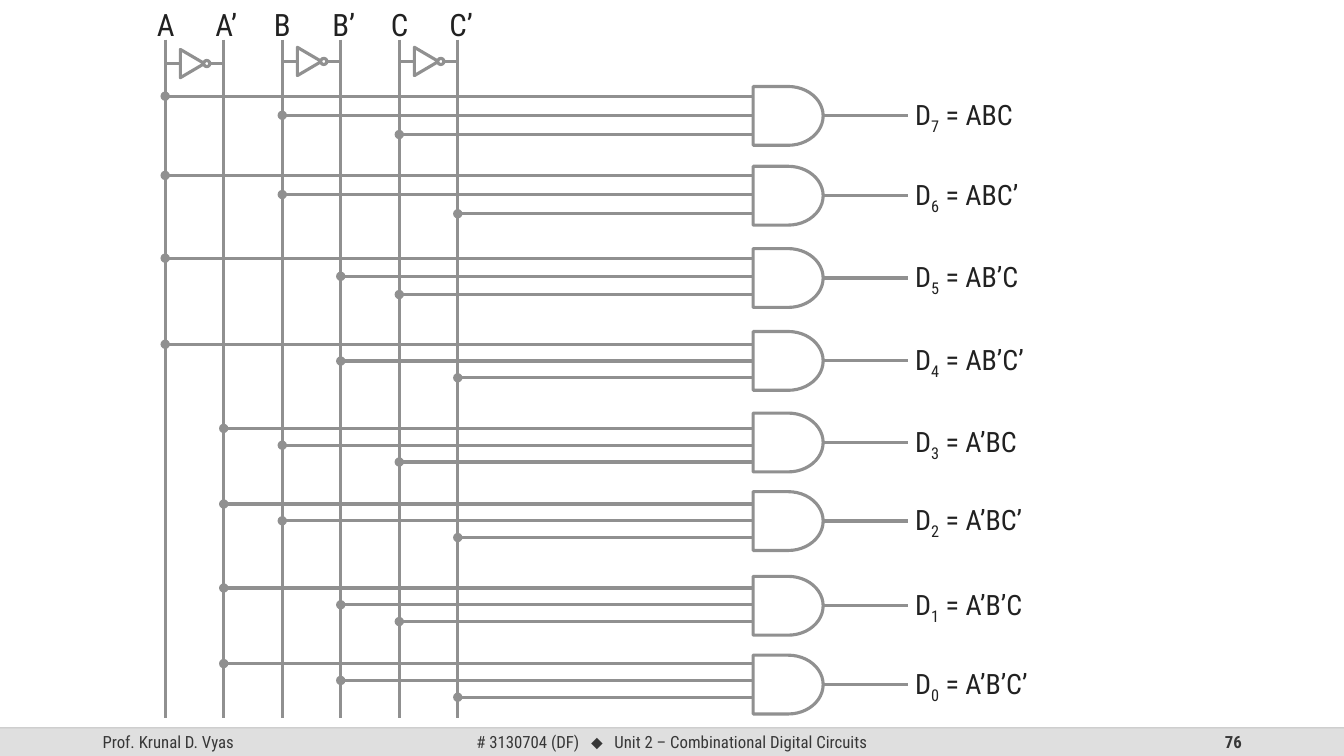
import itertools

import pptx
import pptx.dml.color
import pptx.enum.dml
import pptx.enum.shapes
import pptx.enum.text
import pptx.oxml
import pptx.oxml.ns
import pptx.util

Pt = pptx.util.Pt
RGBColor = pptx.dml.color.RGBColor
MSO_SHAPE = pptx.enum.shapes.MSO_SHAPE
PP_ALIGN = pptx.enum.text.PP_ALIGN

WIRE = RGBColor(0x90, 0x90, 0x90)
INK = RGBColor(0x21, 0x21, 0x21)
FOOTER_INK = RGBColor(0x37, 0x37, 0x37)
FOOTER_FILL = RGBColor(0xDF, 0xDF, 0xDF)
FOOTER_EDGE = RGBColor(0xBF, 0xBF, 0xBF)
WHITE = RGBColor(0xFF, 0xFF, 0xFF)

FONT = "Roboto Condensed"
SLIDE_WIDTH, SLIDE_HEIGHT = 960, 540
RAIL_LEFT, RAIL_GAP = 118, 41.8
RAIL_TOP, RAIL_BOTTOM = 28.4, 513
GATE_LEFT, GATE_WIDTH, GATE_HEIGHT = 538, 50, 42
OUTPUT_RIGHT = 648.7
LABEL_LEFT = 646.6
FOOTER_TOP, FOOTER_HEIGHT = 519.8, 20.2

GATE_ROWS = [
    (61.8, 82.4, 13.7),
    (118.8, 139, 13.7),
    (177.6, 197.4, 13),
    (236.8, 257.9, 12),
    (295.1, 318, 12),
    (351.2, 372, 12),
    (411.7, 432, 12),
    (468, 486, 12),
]


def add_namespaced(parent, tag, **attributes):
    child = pptx.oxml.parse_xml(f"<a:{tag} {pptx.oxml.ns.nsdecls('a')}/>")
    for name, value in attributes.items():
        child.set(name, value)
    parent.append(child)


def add_wire(page, x1, y1, x2, y2, dot=False, color=WIRE, width=2.25, opacity=None):
    wire = page.shapes.add_connector(
        pptx.enum.shapes.MSO_CONNECTOR.STRAIGHT, Pt(x1), Pt(y1), Pt(x2), Pt(y2))
    wire.line.width = Pt(width)
    wire.line.color.rgb = color
    properties = wire.element.spPr
    outline = properties.find(pptx.oxml.ns.qn("a:ln"))
    if opacity:
        add_namespaced(outline.find(".//" + pptx.oxml.ns.qn("a:srgbClr")),
                       "alpha", val=str(opacity * 1000))
    if dot:
        add_namespaced(outline, "headEnd", type="oval")
    add_namespaced(properties, "effectLst")
    return wire


def add_outline(page, kind, left, top, width, height, fill=None, line=WIRE):
    shape = page.shapes.add_shape(kind, Pt(left), Pt(top), Pt(width), Pt(height))
    shape.shadow.inherit = False
    if fill is None:
        shape.fill.background()
    else:
        shape.fill.solid()
        shape.fill.fore_color.rgb = fill
    if line is None:
        shape.line.fill.background()
    else:
        shape.line.color.rgb = line
        shape.line.width = Pt(2.25)
    return shape


def add_text_box(page, left, top, width, height, align=PP_ALIGN.LEFT, grow=True):
    box = page.shapes.add_textbox(Pt(left), Pt(top), Pt(width), Pt(height))
    frame = box.text_frame
    frame.word_wrap = True
    if grow:
        frame.auto_size = pptx.enum.text.MSO_AUTO_SIZE.SHAPE_TO_FIT_TEXT
    else:
        frame.vertical_anchor = pptx.enum.text.MSO_ANCHOR.MIDDLE
    para = frame.paragraphs[0]
    para.alignment = align
    return para


def add_span(para, text, size, color=INK, font=FONT, bold=False, baseline=None):
    span = para.add_run()
    span.text = text
    span.font.size = Pt(size)
    span.font.name = font
    span.font.color.rgb = color
    span.font.bold = bold
    if baseline is not None:
        span._r.get_or_add_rPr().set("baseline", str(baseline * 1000))


def rail_x(index):
    return RAIL_LEFT + index * RAIL_GAP


def add_rail(page, index, name):
    x = rail_x(index)
    add_wire(page, x, RAIL_TOP, x, RAIL_BOTTOM)
    para = add_text_box(page, x - 13.1, 0.5, 22.3 if len(name) == 1 else 32.4, 33.8)
    add_span(para, name, 22)


def add_inverter(page, x, y):
    triangle = add_outline(page, MSO_SHAPE.ISOSCELES_TRIANGLE,
                           x + 9.3, y - 8.6, 20.2, 17.2, WHITE)
    triangle.rotation = 90
    add_outline(page, MSO_SHAPE.OVAL, x + 27.5, y - 2.2, 4.4, 4.4, WHITE)
    add_wire(page, x, y, x + 11.5, y)
    add_wire(page, x + 31, y, x + RAIL_GAP, y)


def add_gate(page, digit, primes, top, wire_middle, wire_gap):
    gate = add_outline(page, MSO_SHAPE.FLOWCHART_DELAY,
                       GATE_LEFT, top, GATE_WIDTH, GATE_HEIGHT)
    middle = top + GATE_HEIGHT / 2
    output = add_wire(page, GATE_LEFT + GATE_WIDTH, middle, OUTPUT_RIGHT, middle)
    output.begin_connect(gate, 3)
    for position, prime in enumerate(primes):
        y = wire_middle + (position - 1) * wire_gap
        add_wire(page, rail_x(2 * position + len(prime)), y, GATE_LEFT, y, dot=True)
    term = "".join(letter + prime for letter, prime in zip("ABC", primes))
    para = add_text_box(page, LABEL_LEFT, top + 4.3, 90 + 3.6 * term.count("’"), 31.6)
    add_span(para, "D", 20)
    add_span(para, str(digit), 20, baseline=-25)
    add_span(para, f" = {term}", 20, baseline=0)


def add_footer(page):
    bar = add_outline(page, MSO_SHAPE.ROUNDED_RECTANGLE, 0, FOOTER_TOP,
                      SLIDE_WIDTH, FOOTER_HEIGHT, FOOTER_FILL, None)
    bar.adjustments[0] = 0
    add_wire(page, 0, FOOTER_TOP, SLIDE_WIDTH, FOOTER_TOP,
             color=FOOTER_EDGE, width=1, opacity=70)
    author = add_text_box(page, 66.2, FOOTER_TOP, 216, FOOTER_HEIGHT, grow=False)
    add_span(author, "Prof. Krunal D. Vyas", 12, FOOTER_INK)
    course = add_text_box(page, 283.7, FOOTER_TOP, 392.4, FOOTER_HEIGHT,
                          PP_ALIGN.CENTER, grow=False)
    add_span(course, "# 3130704 (DF)   ", 12, FOOTER_INK)
    add_span(course, "⬥", 12, FOOTER_INK, font="Arial")
    add_span(course, "   Unit 2 – Combinational Digital Circuits", 12, FOOTER_INK)
    number = add_text_box(page, 678.2, FOOTER_TOP, 216, FOOTER_HEIGHT,
                          PP_ALIGN.RIGHT, grow=False)
    add_span(number, "76", 12, FOOTER_INK, bold=True)


def main():
    deck = pptx.Presentation()
    deck.slide_width, deck.slide_height = Pt(SLIDE_WIDTH), Pt(SLIDE_HEIGHT)
    page = deck.slides.add_slide(deck.slide_layouts[6])
    add_footer(page)
    for index, name in enumerate(["A", "A’", "B", "B’", "C", "C’"]):
        add_rail(page, index, name)
    for index, y in enumerate([45.4, 43.9, 43.9]):
        add_inverter(page, rail_x(2 * index), y)
    terms = itertools.product(("", "’"), repeat=3)
    for row, (primes, places) in enumerate(zip(terms, GATE_ROWS)):
        add_gate(page, 7 - row, primes, *places)
    deck.save("out.pptx")


if __name__ == "__main__":
    main()
